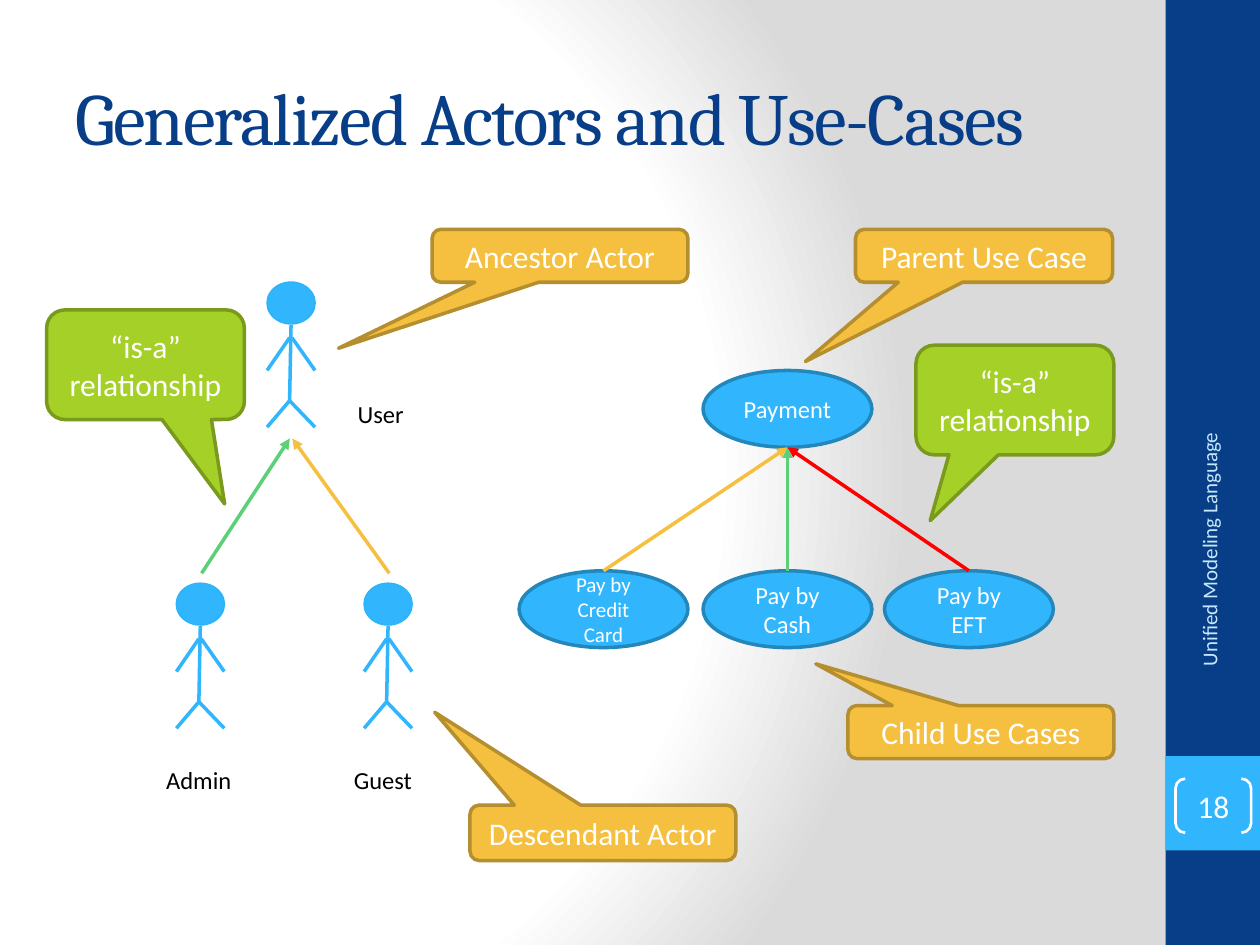
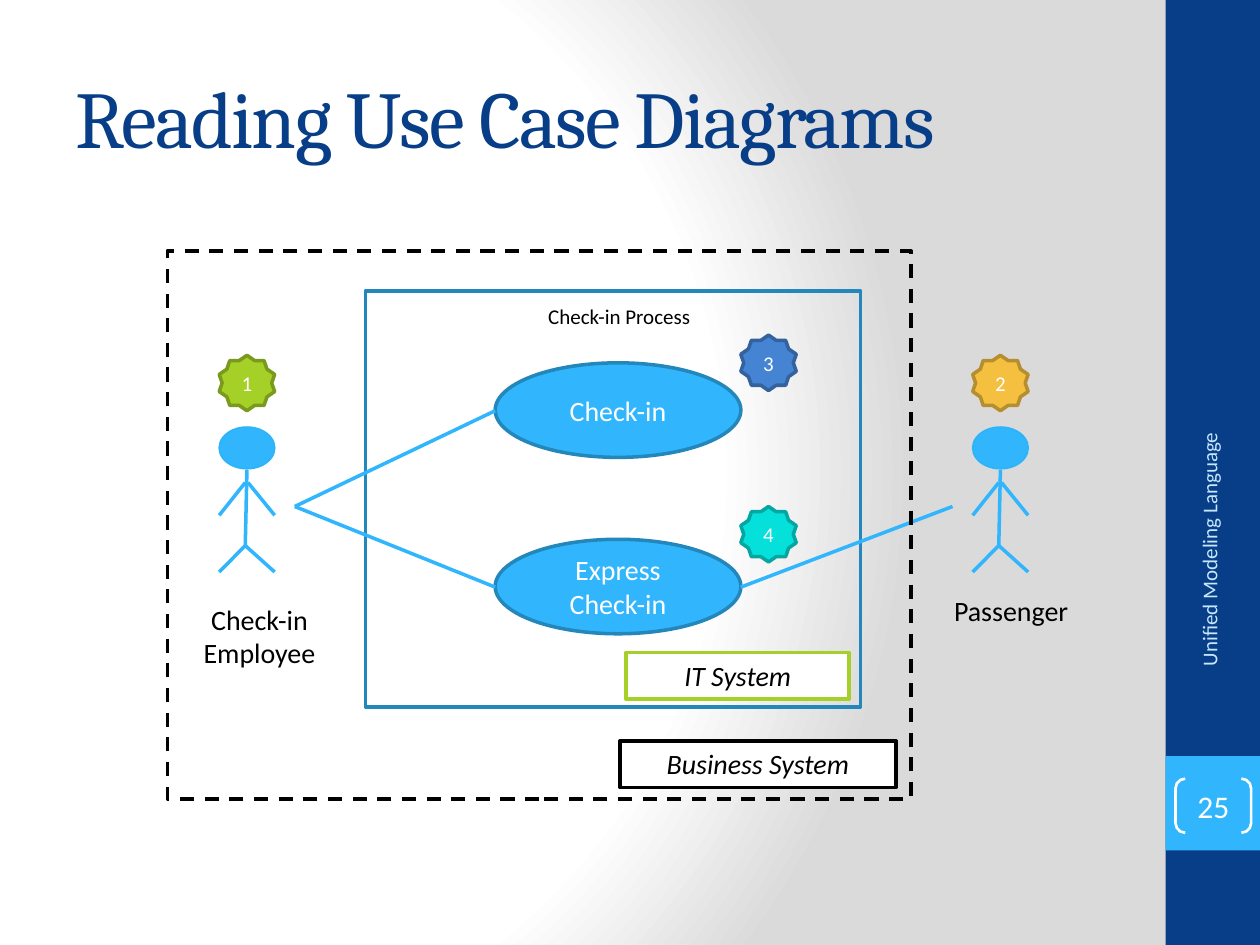
from dataclasses import dataclass

from lxml import etree
from pptx import Presentation
from pptx.dml.color import RGBColor
from pptx.enum.dml import MSO_LINE
from pptx.enum.shapes import MSO_CONNECTOR, MSO_SHAPE
from pptx.enum.text import MSO_ANCHOR, PP_ALIGN
from pptx.oxml import parse_xml
from pptx.oxml.ns import nsdecls, qn
from pptx.util import Inches, Pt

# Enum members
RECT, OVAL, STAR = MSO_SHAPE.RECTANGLE, MSO_SHAPE.OVAL, MSO_SHAPE.STAR_10_POINT
CALLOUT, BRACKETS = MSO_SHAPE.ROUNDED_RECTANGULAR_CALLOUT, MSO_SHAPE.DOUBLE_BRACKET
STRAIGHT, DASH = MSO_CONNECTOR.STRAIGHT, MSO_LINE.DASH
LEFT, CENTER, RIGHT = PP_ALIGN.LEFT, PP_ALIGN.CENTER, PP_ALIGN.RIGHT
TOP, MIDDLE = MSO_ANCHOR.TOP, MSO_ANCHOR.MIDDLE

# Shared palette and fonts
NAVY, SKY, SKY_EDGE, HEAD_EDGE, PALE = "073E87", "31B6FD", "2487BB", "2BB4FC", "C6E7FC"
WHITE, BLACK, RED, GREEN = "FFFFFF", "000000", "FF0000", "5BD078"
GOLD, GOLD_EDGE = "F5C040", "B58E2F"
LIME, LIME_EDGE = "A5D028", "7A9A1E"
BODY_FONT, TITLE_FONT = "Calibri", "Cambria"

Box = tuple[float, float, float, float]
Point = tuple[float, float]


@dataclass
class Callout:
    text: str
    box: Box
    tip: Point
    fill: str = GOLD
    edge: str = GOLD_EDGE


@dataclass
class UseCase:
    text: str
    box: Box
    size: int


@dataclass
class Badge:
    number: str
    at: Point
    fill: str
    edge: str


@dataclass
class Label:
    text: str
    box: Box
    size: int
    align: PP_ALIGN = CENTER


@dataclass
class SystemTag:
    text: str
    box: Box
    edge: str


def color(value: str) -> RGBColor:
    return RGBColor.from_string(value)


def write(shape, text: str, *, size: float, tint: str = WHITE, font: str = BODY_FONT,
          align: PP_ALIGN = CENTER, anchor: MSO_ANCHOR = MIDDLE,
          italic: bool = False, spacing: int = 0) -> None:
    frame = shape.text_frame
    frame.word_wrap = True
    frame.vertical_anchor = anchor
    paragraph = frame.paragraphs[0]
    paragraph.alignment = align
    run = paragraph.add_run()
    run.text = text
    run.font.size = Pt(size)
    run.font.name = font
    run.font.italic = italic
    run.font.color.rgb = color(tint)
    if spacing:
        run.font._element.set("spc", str(spacing))


def add_box(slide, kind: MSO_SHAPE, box: Box, fill: str | None = None,
            edge: str | None = None, width: float = 2):
    shape = slide.shapes.add_shape(kind, *map(Inches, box))
    shape.shadow.inherit = False
    if fill:
        shape.fill.solid()
        shape.fill.fore_color.rgb = color(fill)
    else:
        shape.fill.background()
    if edge:
        shape.line.color.rgb = color(edge)
        shape.line.width = Pt(width)
    else:
        shape.line.fill.background()
    return shape


def add_text(slide, box: Box, text: str, **style):
    holder = slide.shapes.add_textbox(*map(Inches, box))
    write(holder, text, **style)
    return holder


def add_line(slide, start: Point, end: Point, tint: str = SKY, arrow: bool = False):
    line = slide.shapes.add_connector(STRAIGHT, *map(Inches, (*start, *end)))
    line.line.color.rgb = color(tint)
    line.line.width = Pt(2)
    properties = line._element.spPr
    if arrow:
        etree.SubElement(properties.find(qn("a:ln")), qn("a:tailEnd"), type="triangle")
    etree.SubElement(properties, qn("a:effectLst"))
    return line


def add_actor(slide, left: float, top: float, width: float) -> None:
    """Stick figure whose joints are fractions of its width."""
    right, neck, hip = left + width, left + width * 0.5, left + width * 0.47
    shoulder, hand = top + 0.44, top + 0.7
    waist, foot = top + 0.94, top + 1.15
    add_box(slide, OVAL, (left, top, width, 0.33), SKY, HEAD_EDGE, 1)
    limbs = [
        ((neck, top + 0.34), (hip, waist)),
        ((hip, waist), (left, foot)),
        ((hip, waist), (right, foot)),
        ((left + width * 0.52, shoulder), (right, hand)),
        ((left, hand), (hip, shoulder)),
    ]
    for start, end in limbs:
        add_line(slide, start, end)


def add_use_case(slide, case: UseCase):
    oval = add_box(slide, OVAL, case.box, SKY, SKY_EDGE)
    write(oval, case.text, size=case.size)
    return oval


def add_callout(slide, callout: Callout) -> None:
    bubble = add_box(slide, CALLOUT, callout.box, callout.fill, callout.edge)
    bubble.adjustments[0], bubble.adjustments[1] = callout.tip
    write(bubble, callout.text, size=18)


def add_label(slide, label: Label) -> None:
    add_text(slide, label.box, label.text, size=label.size, tint=BLACK,
             align=label.align, anchor=TOP)


def set_background(master) -> None:
    master.background.fill.solid()
    properties = master.element.find(".//" + qn("p:bgPr"))
    stops = "".join(
        f'<a:gs pos="{pos * 1000}"><a:srgbClr val="{tint}"/></a:gs>'
        for pos, tint in ((0, WHITE), (75, WHITE), (100, "DADADA")))
    gradient = parse_xml(
        f'<a:gradFill {nsdecls("a")} rotWithShape="1"><a:gsLst>{stops}</a:gsLst>'
        '<a:path path="circle"><a:fillToRect l="20000" t="50000" r="100000" b="50000"/>'
        "</a:path></a:gradFill>")
    properties.replace(properties[0], gradient)


def add_page(prs, title: str, title_size: int, number: str):
    """Blank slide with the side bands, title, footer and page number."""
    slide = prs.slides.add_slide(prs.slide_layouts[6])
    add_box(slide, RECT, (9.25, 0, 0.75, 7.5), NAVY)
    add_box(slide, RECT, (9.25, 6, 0.75, 0.75), SKY)
    add_text(slide, (0.5, 0.3, 8.33, 1.25), title, size=title_size, tint=NAVY,
             font=TITLE_FONT, align=LEFT, spacing=-100)
    footer = add_text(slide, (8.3, 4.43, 2.59, 0.4), "Unified Modeling Language",
                      size=12, tint=PALE, align=RIGHT)
    footer.rotation = 270
    page_number = add_box(slide, BRACKETS, (9.33, 6.18, 0.6, 0.43), edge=WHITE, width=1.5)
    page_number.adjustments[0] = 0.179
    frame = page_number.text_frame
    frame.margin_left = frame.margin_right = frame.margin_top = frame.margin_bottom = 0
    write(page_number, number, size=18)
    return slide


def build_generalization(prs) -> None:
    slide = add_page(prs, "Generalized Actors and Use-Cases", 42, "18")

    # Parent use case and its children
    oval_size = (1.34, 0.61)
    add_use_case(slide, UseCase("Payment", (5.58, 2.94, *oval_size), 14))
    children = [
        (UseCase("Pay by Credit Card", (4.12, 4.53, *oval_size), 12), GOLD),
        (UseCase("Pay by Cash", (5.58, 4.53, *oval_size), 14), GREEN),
        (UseCase("Pay by EFT", (7.02, 4.53, *oval_size), 14), RED),
    ]
    ovals = [add_use_case(slide, case) for case, _ in children]
    for oval, (case, tint) in zip(ovals, children):
        left, top, width, _ = case.box
        arrow = add_line(slide, (left + width / 2, top), (6.25, 3.55), tint, arrow=True)
        arrow.begin_connect(oval, 0)

    # Ancestor actor and its descendants
    for left, top in ((1.4, 4.63), (2.89, 4.63), (2.12, 2.24)):
        add_actor(slide, left, top, 0.38)
    add_line(slide, (1.6, 4.55), (2.3, 3.48), GREEN, arrow=True)
    add_line(slide, (3.09, 4.55), (2.32, 3.48), GOLD, arrow=True)
    for name, left, top in (("User", 2.74, 3.12), ("Admin", 1.22, 6.02), ("Guest", 2.71, 6.02)):
        add_label(slide, Label(name, (left, top, 0.72, 0.34), 14, LEFT))

    # Explanations
    is_a = "“is-a” relationship"
    callouts = [
        Callout("Parent Use Case", (6.79, 1.82, 2.04, 0.42), (-0.695, 1.997)),
        Callout("Child Use Cases", (6.73, 5.6, 2.11, 0.42), (-0.621, -1.289)),
        Callout("Descendant Actor", (3.73, 6.39, 2.11, 0.44), (-0.633, -2.176)),
        Callout("Ancestor Actor", (3.43, 1.82, 2.03, 0.42), (-0.866, 1.747)),
        Callout(is_a, (0.37, 2.46, 1.57, 0.87), (0.4, 1.27), LIME, LIME_EDGE),
        Callout(is_a, (7.27, 2.74, 1.57, 0.87), (-0.428, 1.1), LIME, LIME_EDGE),
    ]
    for callout in callouts:
        add_callout(slide, callout)


def build_reading(prs) -> None:
    slide = add_page(prs, "Reading Use Case Diagrams", 46, "25")

    # System border, use cases and actors
    add_box(slide, RECT, (2.9, 2.31, 3.93, 3.3), edge=SKY_EDGE)
    for text, top in (("Check-in", 2.88), ("Express Check-in", 4.28)):
        add_use_case(slide, UseCase(text, (3.93, top, 1.95, 0.75), 16))
    for left in (1.74, 7.72):
        add_actor(slide, left, 3.39, 0.44)

    # Associations
    employee, passenger = (2.34, 4.02), (7.56, 4.02)
    add_line(slide, employee, (3.93, 3.26))
    add_line(slide, employee, (3.93, 4.66))
    add_line(slide, (5.88, 4.66), passenger)

    # Names
    labels = [
        Label("Passenger", (7.38, 4.66, 1.29, 0.37), 16),
        Label("Check-in Employee", (1.41, 4.73, 1.3, 0.64), 16),
        Label("Check-in Process", (4.03, 2.36, 1.77, 0.3), 12),
    ]
    for label in labels:
        add_label(slide, label)

    # Numbered badges
    badges = [
        Badge("1", (1.74, 2.82), LIME, LIME_EDGE),
        Badge("2", (7.72, 2.82), GOLD, GOLD_EDGE),
        Badge("3", (5.88, 2.66), "4584D3", "33629C"),
        Badge("4", (5.88, 4.02), "05E0DB", "04A6A2"),
    ]
    for badge in badges:
        star = add_box(slide, STAR, (*badge.at, 0.44, 0.44), badge.fill, badge.edge)
        write(star, badge.number, size=12)

    # Business border and system tags
    business_border = add_box(slide, RECT, (1.33, 1.99, 5.9, 4.35), edge=BLACK)
    business_border.line.dash_style = DASH
    tags = [
        SystemTag("Business System", (4.92, 5.88, 2.19, 0.37), BLACK),
        SystemTag("IT System", (4.97, 5.18, 1.77, 0.37), LIME),
    ]
    for tag in tags:
        plate = add_box(slide, RECT, tag.box, WHITE, tag.edge)
        write(plate, tag.text, size=16, tint=BLACK, anchor=TOP, italic=True)


def main() -> None:
    prs = Presentation()
    prs.slide_width, prs.slide_height = Inches(10), Inches(7.5)
    set_background(prs.slide_master)
    build_generalization(prs)
    build_reading(prs)
    prs.save("out.pptx")


if __name__ == "__main__":
    main()
